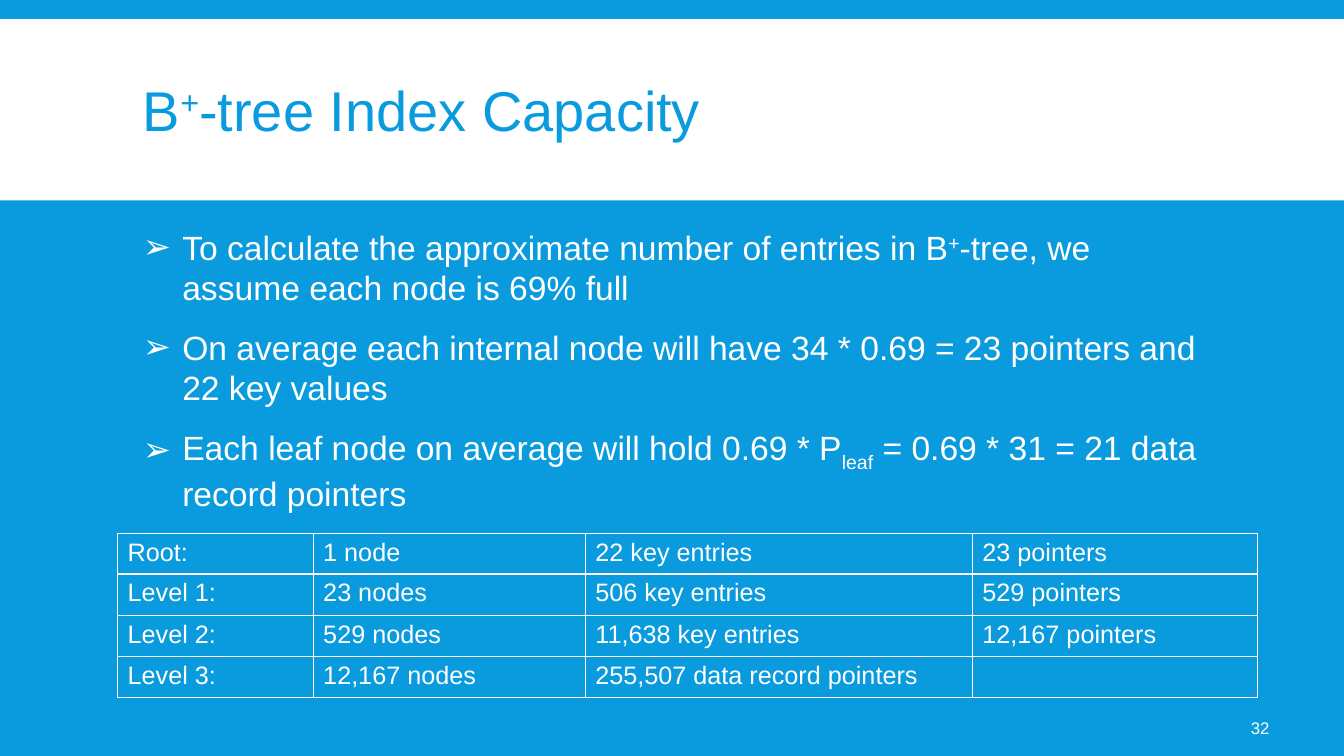
from dataclasses import dataclass

from lxml.etree import SubElement
from pptx import Presentation
from pptx.dml.color import RGBColor as RGB
from pptx.enum.shapes import MSO_SHAPE as SHAPE
from pptx.enum.text import MSO_ANCHOR as ANCHOR, PP_ALIGN as ALIGN
from pptx.oxml.ns import qn
from pptx.util import Inches, Pt


@dataclass(frozen=True)
class Theme:
    font: str = "Arial"
    blue: str = "099BDD"
    white: str = "FFFFFF"
    title: int = 40
    body: int = 24
    table: int = 18
    number: int = 12
    border: int = 1


def add_bullet(p, char, color, font, indent):
    pPr = p._p.get_or_add_pPr()
    pPr.set("marL", str(indent))
    pPr.set("indent", str(-indent))
    SubElement(SubElement(pPr, qn("a:buClr")), qn("a:srgbClr"), val=color)
    SubElement(pPr, qn("a:buFont"), typeface=font)
    SubElement(pPr, qn("a:buChar"), char=char)


def write(p, parts, *, font, size, color, align=None, spacing=None, before=0, after=0):
    """Fill a paragraph; a part is text, or (text, baseline shift in percent)."""
    p.alignment, p.line_spacing = align, spacing
    p.space_before, p.space_after = Pt(before), Pt(after)
    for part in parts:
        text, shift = (part, 0) if isinstance(part, str) else part
        r = p.add_run()
        r.text = text
        r.font.name, r.font.size = font, Pt(size)
        r.font.color.rgb = RGB.from_string(color)
        if shift:
            r._r.get_or_add_rPr().set("baseline", str(shift * 1000))


class Deck:
    """Places elements on one slide; lengths are percent of its width and height."""

    def __init__(self, theme):
        self.theme = theme
        self.prs = Presentation()
        self.prs.slide_width, self.prs.slide_height = Inches(13.33), Inches(7.5)
        self.s = self.prs.slides.add_slide(self.prs.slide_layouts[6])
        fill = self.s.background.fill
        fill.solid()
        fill.fore_color.rgb = RGB.from_string(theme.blue)

    def x(self, share):
        return round(self.prs.slide_width * share / 100)

    def y(self, share):
        return round(self.prs.slide_height * share / 100)

    def box(self, left, top, width, height):
        return self.x(left), self.y(top), self.x(width), self.y(height)

    def band(self, *area):
        sp = self.s.shapes.add_shape(SHAPE.RECTANGLE, *self.box(*area))
        sp.shadow.inherit = False
        sp.fill.solid()
        sp.fill.fore_color.rgb = RGB.from_string(self.theme.white)
        sp.line.fill.background()

    def text(self, area, paragraphs, *, size, color, anchor=ANCHOR.TOP,
             bullet=None, before=0, **style):
        tf = self.s.shapes.add_textbox(*self.box(*area)).text_frame
        tf.word_wrap, tf.vertical_anchor = True, anchor
        for i, parts in enumerate(paragraphs):
            p = tf.add_paragraph() if i else tf.paragraphs[0]
            if bullet:
                add_bullet(p, bullet, color, self.theme.font, Inches(0.39))
            write(p, parts, font=self.theme.font, size=size, color=color,
                  before=before if i else 0, **style)

    def borders(self, cell):
        tcPr = cell._tc.get_or_add_tcPr()
        for side in ("lnL", "lnR", "lnT", "lnB"):
            ln = SubElement(tcPr, qn(f"a:{side}"), w=str(Pt(self.theme.border)))
            SubElement(SubElement(ln, qn("a:solidFill")), qn("a:srgbClr"),
                       val=self.theme.white)

    def table(self, left, top, widths, heights, rows):
        area = self.box(left, top, sum(widths), sum(heights))
        table = self.s.shapes.add_table(len(heights), len(widths), *area).table
        table.first_row = table.horz_banding = False
        for column, width in zip(table.columns, widths):
            column.width = self.x(width)
        for row, height, texts in zip(table.rows, heights, rows):
            row.height = self.y(height)
            for cell, text in zip(row.cells, texts):
                self.borders(cell)
                cell.fill.background()
                if text:
                    write(cell.text_frame.paragraphs[0], [text], font=self.theme.font,
                          size=self.theme.table, color=self.theme.white)


TITLE = ["B", ("+", 30), "-tree Index Capacity"]
POINTS = [
    ["To calculate the approximate number of entries in B", ("+", 30),
     "-tree, we assume each node is 69% full"],
    ["On average each internal node will have 34 * 0.69 = 23 pointers and 22 key values"],
    ["Each leaf node on average will hold 0.69 * P", ("leaf", -25),
     " = 0.69 * 31 = 21 data record pointers"],
]
LEVELS = [
    ["Root:", "1 node", "22 key entries", "23 pointers"],
    ["Level 1:", "23 nodes", "506 key entries", "529 pointers"],
    ["Level 2:", "529 nodes", "11,638 key entries", "12,167 pointers"],
    ["Level 3:", "12,167 nodes", "255,507 data record pointers", ""],
]


def main():
    theme = Theme()
    deck = Deck(theme)
    deck.band(0, 2.53, 100, 24)
    deck.text((9.9, 4.13, 80.25, 22), [TITLE], size=theme.title, color=theme.blue,
              anchor=ANCHOR.MIDDLE, spacing=0.85)
    deck.text((9.9, 29.33, 80.25, 61.33), POINTS, size=theme.body, color=theme.white,
              bullet="➢", before=12, after=2)
    deck.table(8.75, 70.6, [14.55, 20.25, 28.8, 21.2], [4.53] + [5.43] * 3, LEVELS)
    deck.text((87.47, 93.6, 7.73, 5.33), [["32"]], size=theme.number,
              color=theme.white, anchor=ANCHOR.MIDDLE, align=ALIGN.RIGHT)
    deck.prs.save("out.pptx")


if __name__ == "__main__":
    main()
